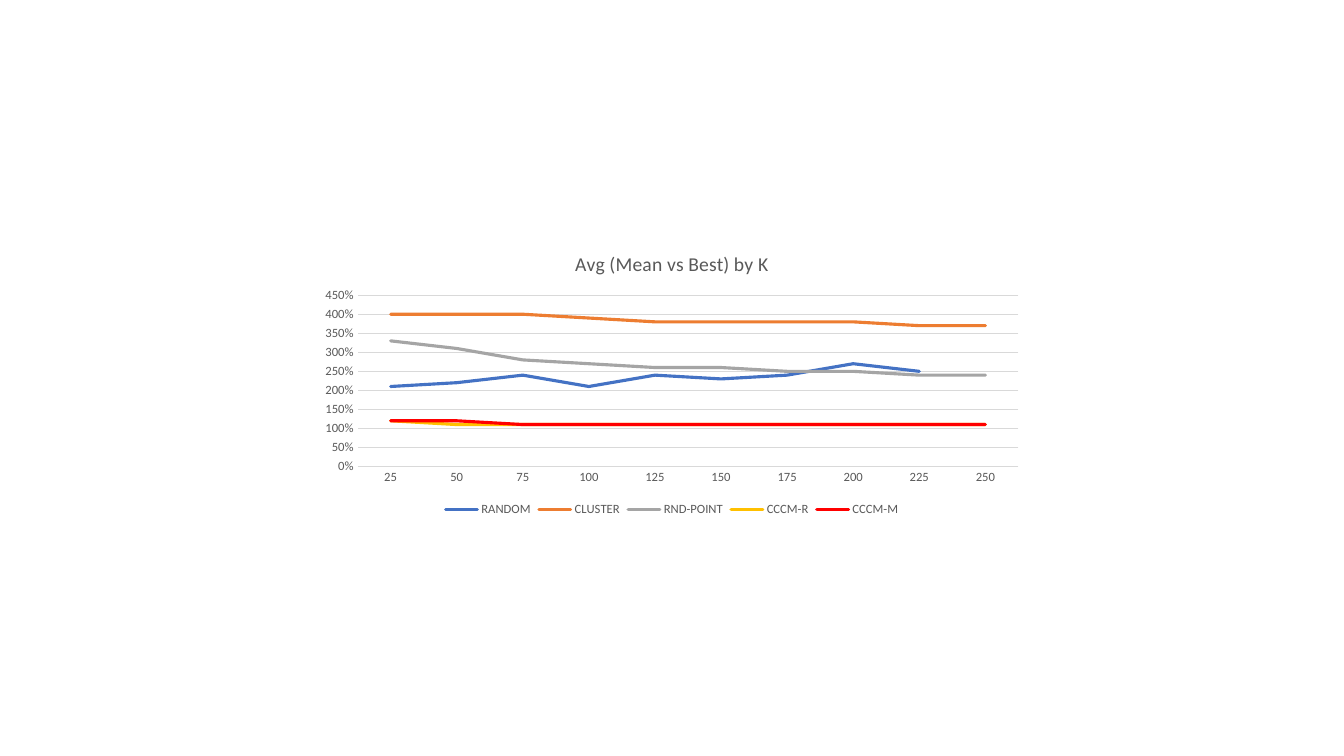
"""Build a slide with a line chart of average mean-versus-best ratios by K."""
from dataclasses import dataclass

from lxml import etree
from pptx import Presentation
from pptx.chart.chart import Chart
from pptx.chart.data import CategoryChartData
from pptx.dml.color import RGBColor
from pptx.dml.line import LineFormat
from pptx.enum.chart import XL_CHART_TYPE, XL_LEGEND_POSITION, XL_MARKER_STYLE, XL_TICK_MARK
from pptx.oxml.ns import qn
from pptx.slide import Slide
from pptx.text.text import Font, TextFrame
from pptx.util import Inches, Pt

LINE_CHART = XL_CHART_TYPE.LINE
LEGEND_BOTTOM = XL_LEGEND_POSITION.BOTTOM
NO_MARKER = XL_MARKER_STYLE.NONE
NO_TICK = XL_TICK_MARK.NONE


@dataclass(frozen=True)
class Theme:
    font: str = "Calibri"
    text: str = "595959"
    grid: str = "D9D9D9"
    blue: str = "4472C4"
    orange: str = "ED7D31"
    gray: str = "A5A5A5"
    gold: str = "FFC000"
    red: str = "FF0000"
    title_size: float = 14
    label_size: float = 9
    grid_width: float = 0.75
    series_width: float = 2.25


@dataclass(frozen=True)
class Frame:
    """Place on the page, in percent of its width and height."""
    left: float
    top: float
    width: float
    height: float


@dataclass(frozen=True)
class Method:
    name: str
    color: str
    ratios: tuple[float | None, ...]


THEME = Theme()
PAGE_WIDTH, PAGE_HEIGHT = Inches(13.33), Inches(7.5)
CHART_FRAME = Frame(23.14, 31.1, 53.71, 37.8)
K_VALUES = [str(k) for k in range(25, 251, 25)]
METHODS = [
    Method("RANDOM", THEME.blue, (2.1, 2.2, 2.4, 2.1, 2.4, 2.3, 2.4, 2.7, 2.5, None)),
    Method("CLUSTER", THEME.orange, (4, 4, 4, 3.9, 3.8, 3.8, 3.8, 3.8, 3.7, 3.7)),
    Method("RND-POINT", THEME.gray, (3.3, 3.1, 2.8, 2.7, 2.6, 2.6, 2.5, 2.5, 2.4, 2.4)),
    Method("CCCM-R", THEME.gold, (1.2, *[1.1] * 9)),
    Method("CCCM-M", THEME.red, (1.2, 1.2, *[1.1] * 8)),
]


def style_font(font: Font, *, size: float = THEME.label_size, color: str = THEME.text) -> None:
    font.name = THEME.font
    font.size = Pt(size)
    font.bold = False
    font.color.rgb = RGBColor.from_string(color)


def write_text(frame: TextFrame, text: str, *, size: float, color: str = THEME.text) -> None:
    span = frame.paragraphs[0].add_run()
    span.text = text
    style_font(span.font, size=size, color=color)


def style_line(line: LineFormat, *, color: str, width: float) -> None:
    line.color.rgb = RGBColor.from_string(color)
    line.width = Pt(width)


def add_line_chart(page: Slide, frame: Frame, methods: list[Method]) -> Chart:
    data = CategoryChartData(number_format="0%")
    data.categories = K_VALUES
    for method in methods:
        data.add_series(method.name, method.ratios)
    return page.shapes.add_chart(
        LINE_CHART,
        int(PAGE_WIDTH * frame.left / 100), int(PAGE_HEIGHT * frame.top / 100),
        int(PAGE_WIDTH * frame.width / 100), int(PAGE_HEIGHT * frame.height / 100),
        data,
    ).chart


def style_series(chart: Chart, methods: list[Method]) -> None:
    for series, method in zip(chart.plots[0].series, methods):
        series.smooth = False
        series.marker.style = NO_MARKER
        style_line(series.format.line, color=method.color, width=THEME.series_width)
        outline = series.format.line._get_or_add_ln()
        outline.set("cap", "rnd")
        etree.SubElement(outline, qn("a:round"))


def style_axes(chart: Chart) -> None:
    for axis in (chart.category_axis, chart.value_axis):
        axis.major_tick_mark = NO_TICK
        axis.minor_tick_mark = NO_TICK
        style_font(axis.tick_labels.font)
    style_line(chart.category_axis.format.line, color=THEME.grid, width=THEME.grid_width)
    ratios = chart.value_axis
    ratios.minimum_scale, ratios.maximum_scale, ratios.major_unit = 0, 4.5, 0.5
    ratios.tick_labels.number_format = "0%"
    ratios.tick_labels.number_format_is_linked = False
    ratios.format.line.fill.background()
    ratios.has_major_gridlines = True
    style_line(ratios.major_gridlines.format.line, color=THEME.grid, width=THEME.grid_width)


def style_legend(chart: Chart) -> None:
    chart.has_legend = True
    chart.legend.position = LEGEND_BOTTOM
    chart.legend.include_in_layout = False
    style_font(chart.legend.font)


def main() -> None:
    deck = Presentation()
    deck.slide_width, deck.slide_height = PAGE_WIDTH, PAGE_HEIGHT
    page = deck.slides.add_slide(deck.slide_layouts[6])
    chart = add_line_chart(page, CHART_FRAME, METHODS)
    style_font(chart.font)
    chart.plots[0].vary_by_categories = False
    chart.has_title = True
    chart.chart_title.include_in_layout = False
    write_text(chart.chart_title.text_frame, "Avg (Mean vs Best) by K", size=THEME.title_size)
    style_series(chart, METHODS)
    style_axes(chart)
    style_legend(chart)
    deck.save("out.pptx")


if __name__ == "__main__":
    main()
